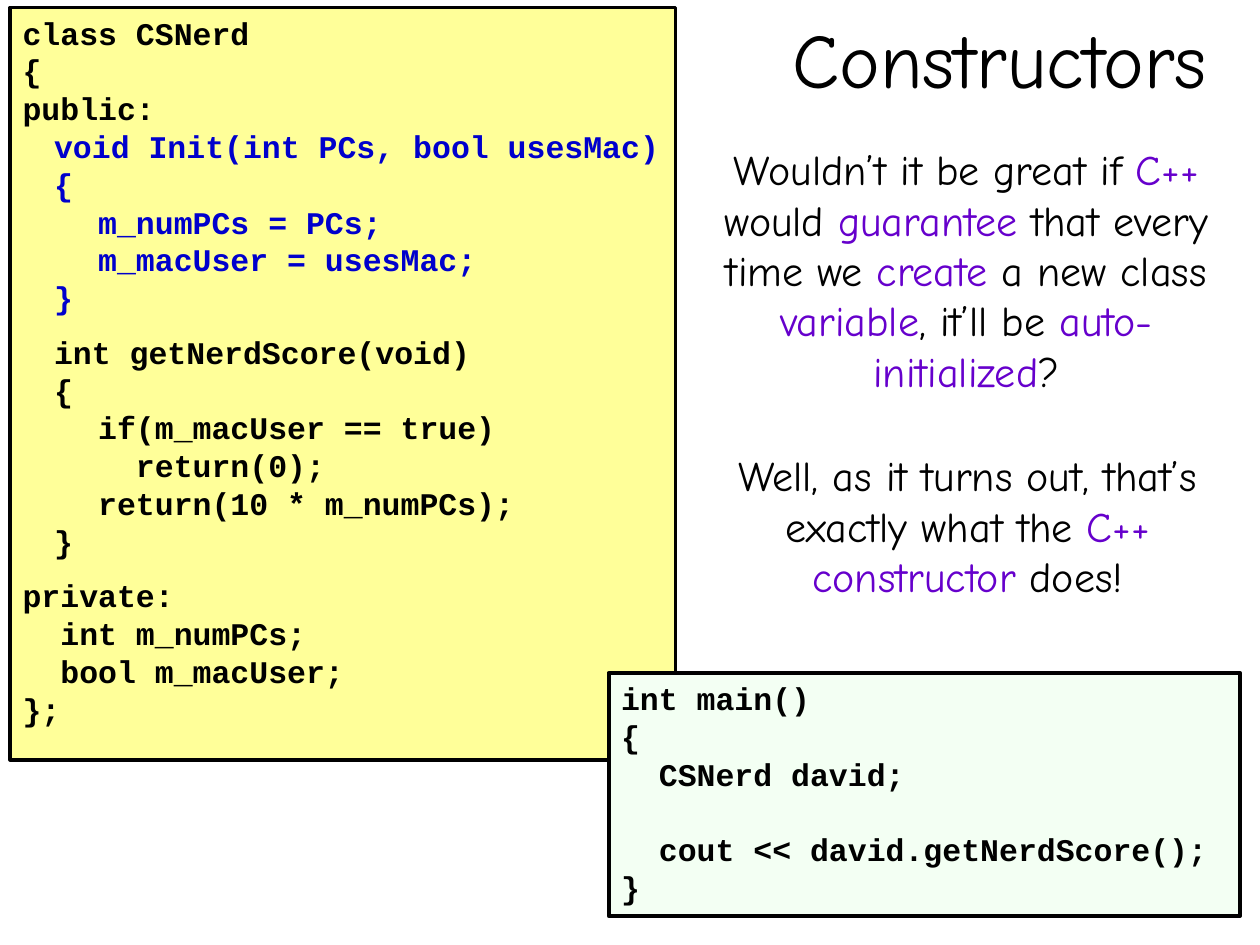
import pptx
import pptx.util
import pptx.dml.color
import pptx.enum.shapes
import pptx.enum.text
import pptx.oxml.ns
from lxml import etree

Pt = pptx.util.Pt
Align = pptx.enum.text.PP_ALIGN
Anchor = pptx.enum.text.MSO_ANCHOR

# Content: "|" toggles the accent colour in prose
TITLE = "Constructors"
QUESTION = ("Wouldn’t it be great if |C++| would |guarantee| that every time we "
            "|create| a new class |variable|, it’ll be |auto-initialized|?")
ANSWER = "Well, as it turns out, that’s\nexactly what the |C++\nconstructor| does!"

# Code sections: colour, space before in points, lines
CLASS_CODE = [
    ("text", 0, ["class CSNerd", "{", "public:"]),
    ("init", 0, ["\tvoid Init(int PCs, bool usesMac)", "\t{",
                 "    m_numPCs = PCs;", "    m_macUser = usesMac;", "\t}"]),
    ("text", 9.5, ["\tint getNerdScore(void)", "\t{", "    if(m_macUser == true)",
                   "      return(0);", "    return(10 * m_numPCs);", "\t}"]),
    ("text", 9.5, ["private:", "  int m_numPCs;", "  bool m_macUser;", "};"]),
]
MAIN_CODE = [
    ("text", 0, ["int main()", "{", "  CSNerd david;"]),
    ("text", 21.6, ["  cout << david.getNerdScore();", "}"]),
]

THEME = {
    "text": "000000", "init": "0000CC", "accent": "6600CC",
    "class_fill": "FFFF99", "main_fill": "F3FFF3",
    "prose_font": "Comic Neue", "code_font": "Courier New",
    "title_size": 44, "prose_size": 24, "code_size": 18,
    "line_width": 2.25, "tab": 18,
}

# Left, top, width, height in points
TITLE_BOX = (418.3, -12.2, 306, 90)
QUESTION_BOX = (397.4, 78.5, 309.6, 151.2)
ANSWER_BOX = (394.6, 253.4, 316.8, 93.6)
CLASS_BOX = (5.8, 4.3, 380.2, 429.8)
MAIN_BOX = (347.8, 384.5, 360.7, 139)


def color(name):
    return pptx.dml.color.RGBColor.from_string(THEME[name])


def place(shape, box):
    shape.left, shape.top, shape.width, shape.height = map(Pt, box)


def format_run(run, kind, size, color_name, bold=False):
    run.font.name = THEME[kind + "_font"]
    run.font.size = Pt(THEME[size])
    run.font.bold = bold
    run.font.color.rgb = color(color_name)


def prepare_frame(shape, anchor):
    text_frame = shape.text_frame
    text_frame.word_wrap = True
    text_frame.auto_size = pptx.enum.text.MSO_AUTO_SIZE.NONE
    text_frame.vertical_anchor = anchor
    return text_frame


def add_prose(shape, box, text, size, anchor):
    place(shape, box)
    paragraph = prepare_frame(shape, anchor).paragraphs[0]
    properties = paragraph._p.get_or_add_pPr()
    properties.set("marL", "0")
    properties.set("indent", "0")
    etree.SubElement(properties, pptx.oxml.ns.qn("a:buNone"))
    paragraph.alignment = Align.CENTER
    paragraph.space_before = Pt(0)
    for index, part in enumerate(text.split("|")):
        for number, line in enumerate(part.split("\n")):
            if number:
                paragraph.add_line_break()
            run = paragraph.add_run()
            run.text = line
            format_run(run, "prose", size, "accent" if index % 2 else "text")


def add_code(slide, box, fill, sections):
    shape = slide.shapes.add_shape(
        pptx.enum.shapes.MSO_SHAPE.RECTANGLE, *map(Pt, box))
    shape.shadow.inherit = False
    shape.fill.solid()
    shape.fill.fore_color.rgb = color(fill)
    shape.line.color.rgb = color("text")
    shape.line.width = Pt(THEME["line_width"])
    text_frame = prepare_frame(shape, Anchor.TOP)
    lines = [(line, color_name, 0 if index else gap)
             for color_name, gap, section in sections
             for index, line in enumerate(section)]
    text_frame.text = "\n".join(line for line, _, _ in lines)
    for paragraph, (_, color_name, gap) in zip(text_frame.paragraphs, lines):
        tabs = etree.SubElement(paragraph._p.get_or_add_pPr(),
                                pptx.oxml.ns.qn("a:tabLst"))
        etree.SubElement(tabs, pptx.oxml.ns.qn("a:tab"),
                         pos=str(Pt(THEME["tab"])), algn="l")
        paragraph.alignment = Align.LEFT
        paragraph.space_before = Pt(gap)
        for run in paragraph.runs:
            format_run(run, "code", "code_size", color_name, bold=True)


def main():
    presentation = pptx.Presentation()
    presentation.slide_width, presentation.slide_height = Pt(720), Pt(540)
    slide = presentation.slides.add_slide(presentation.slide_layouts[3])
    title, question, answer = slide.placeholders

    # Title and explanation
    add_prose(title, TITLE_BOX, TITLE, "title_size", Anchor.MIDDLE)
    add_prose(question, QUESTION_BOX, QUESTION, "prose_size", Anchor.TOP)
    add_prose(answer, ANSWER_BOX, ANSWER, "prose_size", Anchor.TOP)

    # Class definition, with the main program overlapping its corner
    add_code(slide, CLASS_BOX, "class_fill", CLASS_CODE)
    add_code(slide, MAIN_BOX, "main_fill", MAIN_CODE)

    presentation.save("out.pptx")


if __name__ == "__main__":
    main()
